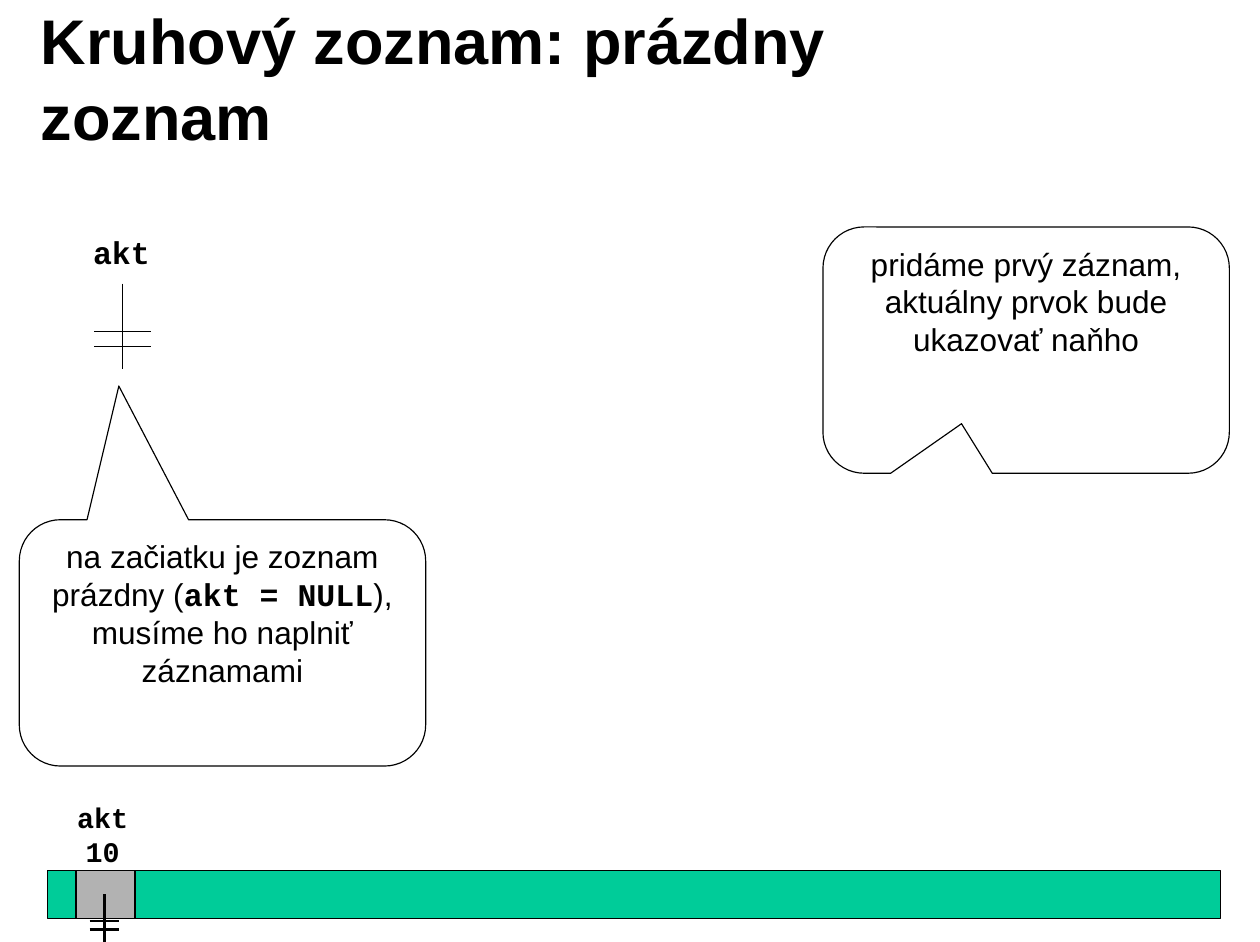
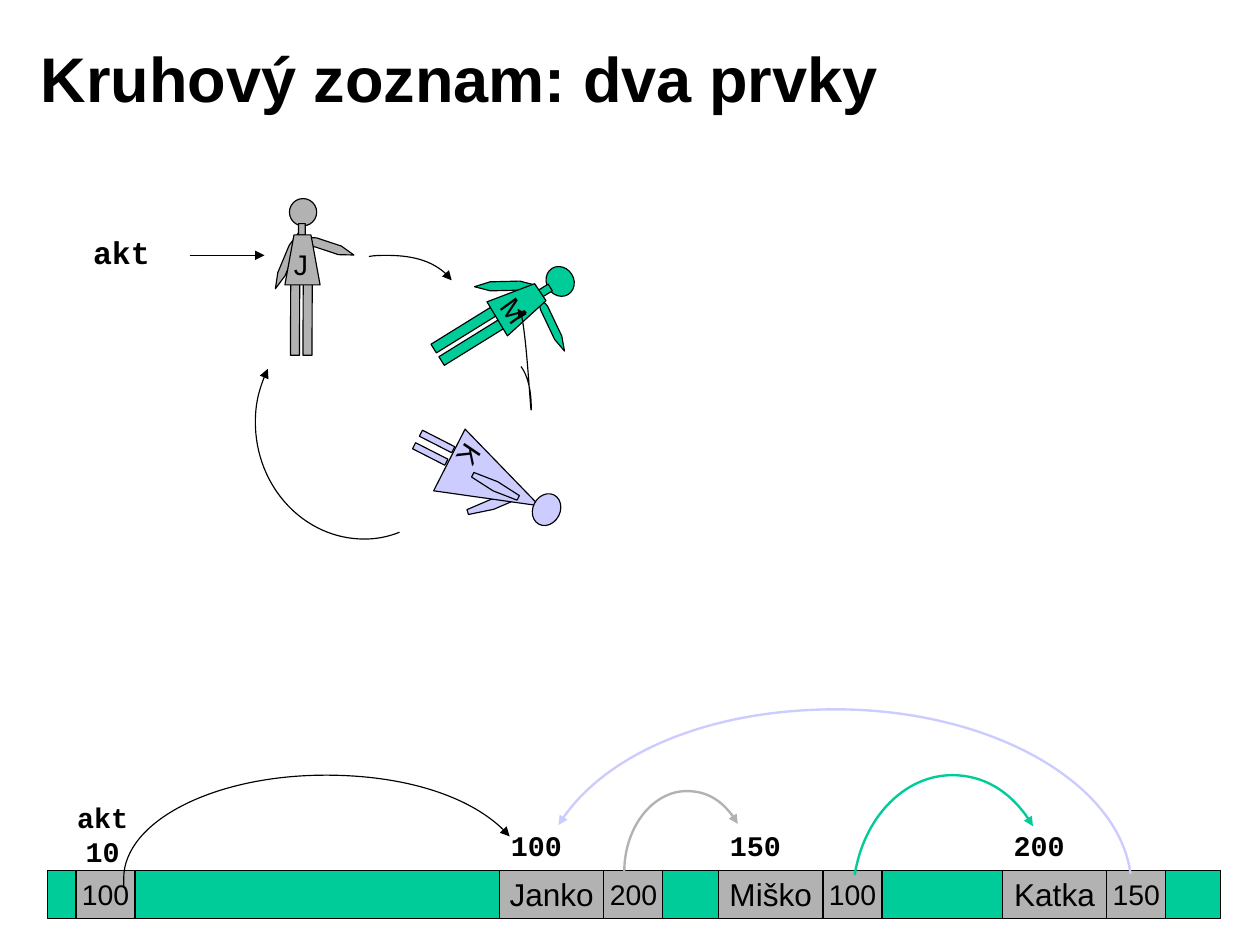
"""Build two slides about a circular linked list: the empty list and the list with elements."""
from lxml import etree
from pptx import Presentation
from pptx import util as u
from pptx.dml.color import RGBColor
from pptx.enum import shapes as kinds, text
from pptx.oxml.ns import qn

COLOURS = {"white": "FFFFFF", "black": "000000", "green": "00CC99", "grey": "B2B2B2", "lilac": "CCCCFF"}
SANS, MONO = "Arial", "Courier New"
FORMS = kinds.MSO_SHAPE
TITLES = ["Kruhový zoznam: prázdny zoznam", "Kruhový zoznam: dva prvky"]

CALLOUTS = [
    ((0.17, 4.58), (-0.255, -1.043, 0.167),
     [("na začiatku je zoznam prázdny (", False), ("akt = NULL", True), ("), musíme ho naplniť záznamami", False)]),
    ((7.25, 2), (-0.159, 0.299, 0.167),
     [("pridáme prvý záznam, aktuálny prvok bude ukazovať naňho", False)]),
]
NULL_SIGNS = [(1.08, 2.5, 0.75, 0.25, 0.75), (0.92, 7.88, 0.42, 0.13, 1.5)]

MEMORY_TOP, MEMORY_HEIGHT = 7.67, 0.42
NAME_WIDTH, POINTER_WIDTH = 0.92, 0.52
RECORDS = [(4.4, "100", "Janko", "200"), (6.33, "150", "Miško", "100"), (8.83, "200", "Katka", "150")]

FIGURES = [
    {"colour": "lilac", "parts": [
        ("HEXAGON", (4.29, 4.22, 0.09, 0.45), 72.6, 0.25),
        ("ISOSCELES_TRIANGLE", (4.05, 3.81, 0.61, 0.89), 117, 0.5),
        ("HEXAGON", (4.32, 4.06, 0.09, 0.45), 117, 0.25),
        ("OVAL", (4.67, 4.37, 0.29, 0.24), 117, None),
        ("RECTANGLE", (3.82, 3.73, 0.06, 0.32), 117, None),
        ("RECTANGLE", (3.76, 3.84, 0.06, 0.32), 117, None)],
     "body": []},
    {"colour": "green", "parts": [
        ("HEXAGON", (4.18, 2.48, 0.54, 0.08), 358.6, 1.739),
        ("HEXAGON", (4.58, 2.81, 0.55, 0.07), 64.6, 1.853),
        ("OVAL", (4.8, 2.36, 0.27, 0.24), 58.2, None),
        ("RECTANGLE", (4.06, 2.56, 0.09, 0.67), 58.2, None),
        ("RECTANGLE", (4.13, 2.67, 0.09, 0.67), 58.2, None),
        ("RECTANGLE", (4.77, 2.51, 0.07, 0.1), 58.2, None)],
     "body": [(4.29, 2.66), (4.71, 2.5), (4.81, 2.65), (4.47, 2.96)]},
    {"colour": "grey", "parts": [
        ("HEXAGON", (2.26, 2.26, 0.54, 0.07), 292.6, 1.991),
        ("HEXAGON", (2.64, 2.13, 0.49, 0.08), 18.3, 1.616),
        ("OVAL", (2.55, 1.75, 0.24, 0.24), 0.2, None),
        ("RECTANGLE", (2.56, 2.46, 0.08, 0.67), 0.2, None),
        ("RECTANGLE", (2.67, 2.46, 0.08, 0.67), 0.2, None),
        ("RECTANGLE", (2.63, 1.97, 0.06, 0.1), 0.2, None)],
     "body": [(2.51, 2.51), (2.59, 2.07), (2.74, 2.07), (2.82, 2.51)]},
]
INITIALS = [("J", (2.49, 2.13, 0.32, 0.4), 0), ("K", (3.96, 3.81, 0.36, 0.4), 124), ("M", (4.33, 2.54, 0.41, 0.4), 54.2)]

ARCS = [
    ("black", 0.75, [(1.09, 7.82), (1.09, 7.8), (1.09, 7.77), (1.09, 7.74), (1.09, 7.24), (1.88, 6.83), (2.87, 6.83),
                     (3.57, 6.83), (4.21, 7.04), (4.49, 7.37)]),
    ("grey", 1.5, [(5.51, 7.75), (5.5, 7.73), (5.5, 7.7), (5.5, 7.68), (5.5, 7.29), (5.75, 6.97), (6.05, 6.97),
                   (6.23, 6.97), (6.4, 7.08), (6.5, 7.26)]),
    ("black", 0.75, [(3.52, 4.69), (3.42, 4.73), (3.32, 4.75), (3.21, 4.75), (2.68, 4.75), (2.25, 4.29), (2.25, 3.72),
                     (2.25, 3.56), (2.29, 3.4), (2.36, 3.25)]),
    ("lilac", 1.5, [(9.96, 7.7), (9.85, 6.88), (8.71, 6.25), (7.36, 6.25), (6.27, 6.25), (5.3, 6.65), (4.92, 7.27)]),
    ("black", 0.75, [(3.25, 2.26), (3.3, 2.25), (3.36, 2.25), (3.41, 2.25), (3.67, 2.25), (3.89, 2.34), (3.98, 2.47)]),
    ("black", 0.75, [(4.59, 3.23), (4.65, 3.31), (4.68, 3.44), (4.68, 3.59), (4.68, 3.76), (4.63, 2.66), (4.56, 2.72)]),
    ("green", 1.5, [(7.53, 7.71), (7.61, 7.2), (7.97, 6.83), (8.39, 6.83), (8.67, 6.83), (8.94, 7), (9.1, 7.28)]),
]


def rgb(name):
    """Return the named colour."""
    return RGBColor.from_string(COLOURS[name])


def style_run(run, size, font=SANS, bold=False):
    """Format one run in black."""
    run.font.size, run.font.name, run.font.bold = u.Pt(size), font, bold
    run.font.color.rgb = rgb("black")


def write(shape, words, size, font=SANS, bold=False):
    """Put centred, unwrapped text into a shape."""
    frame = shape.text_frame
    frame.text, frame.word_wrap = words, False
    for paragraph in frame.paragraphs:
        paragraph.alignment = text.PP_ALIGN.CENTER
        for run in paragraph.runs:
            style_run(run, size, font, bold)


def draw_line(shape, colour="black", width=0.75):
    """Set the line of a shape or connector."""
    shape.line.color.rgb = rgb(colour)
    shape.line.width = u.Pt(width)


def add_arrowhead(shape):
    """End the line of a shape with a triangle."""
    line = shape._element.xpath("./p:spPr/a:ln")[0]
    etree.SubElement(line, qn("a:tailEnd"), type="triangle")


def add_form(shapes, form, box, colour):
    """Add a filled, outlined preset shape."""
    shape = shapes.add_shape(form, *map(u.Inches, box))
    shape.shadow.inherit = False
    shape.fill.solid()
    shape.fill.fore_color.rgb = rgb(colour)
    draw_line(shape)
    return shape


def add_label(shapes, words, box, size, font=MONO, bold=True):
    """Add a short text box."""
    label = shapes.add_textbox(*map(u.Inches, box))
    write(label, words, size, font, bold)
    label.text_frame.auto_size = text.MSO_AUTO_SIZE.SHAPE_TO_FIT_TEXT
    return label


def add_line(shapes, start, end, width=0.75):
    """Add a straight black line."""
    line = shapes.add_connector(kinds.MSO_CONNECTOR.STRAIGHT, *map(u.Inches, (*start, *end)))
    draw_line(line, width=width)
    etree.SubElement(line._element.spPr, qn("a:effectLst"))
    return line


def add_outline(shapes, points, closed):
    """Add a freeform through the points."""
    first, *rest = [tuple(map(u.Inches, point)) for point in points]
    builder = shapes.build_freeform(*first)
    builder.add_line_segments(rest, close=closed)
    shape = builder.convert_to_shape()
    shape.shadow.inherit = False
    return shape


def add_arc(shapes, colour, width, points):
    """Add a curved arrow whose points are Bézier control points."""
    arc = add_outline(shapes, points, False)
    arc.fill.background()
    draw_line(arc, colour, width)
    add_arrowhead(arc)
    outline = arc._element.xpath(".//a:path")[0]
    steps = outline.findall(qn("a:lnTo"))
    for first in range(0, len(steps), 3):
        curve = etree.SubElement(outline, qn("a:cubicBezTo"))
        for step in steps[first:first + 3]:
            curve.append(step[0])
            outline.remove(step)


def add_figure(slide, figure):
    """Add a grouped person made of simple shapes."""
    shapes = slide.shapes.add_group_shape().shapes
    for form, box, rotation, adjustment in figure["parts"]:
        part = add_form(shapes, FORMS[form], box, figure["colour"])
        part.rotation = rotation
        if adjustment is not None:
            part.adjustments[0] = adjustment
    if figure["body"]:
        body = add_outline(shapes, figure["body"], True)
        body.fill.solid()
        body.fill.fore_color.rgb = rgb(figure["colour"])
        draw_line(body)


def add_cell(shapes, left, width, words="", size=18):
    """Add one grey memory cell."""
    cell = add_form(shapes, FORMS.RECTANGLE, (left, MEMORY_TOP, width, MEMORY_HEIGHT), "grey")
    if words:
        write(cell, words, size)


def add_record(slide, left, address, name, pointer):
    """Add a record: name, pointer and address above."""
    shapes = slide.shapes.add_group_shape().shapes
    add_cell(shapes, left, NAME_WIDTH, name, 20)
    add_cell(shapes, left + NAME_WIDTH, POINTER_WIDTH, pointer)
    add_label(shapes, address, (left, 7.25, 0.65, 0.4), 18)


def add_null_sign(slide, centre, top, height, half, width):
    """Add a vertical line crossed by two bars."""
    shapes = slide.shapes.add_group_shape().shapes
    add_line(shapes, (centre, top), (centre, top + height), width)
    for share in (0.56, 0.74):
        level = top + share * height
        add_line(shapes, (centre - half, level), (centre + half, level), width)


def add_callout(slide, corner, adjustments, runs):
    """Add a speech bubble with mixed runs."""
    bubble = add_form(slide.shapes, FORMS.ROUNDED_RECTANGULAR_CALLOUT, (*corner, 3.58, 2.17), "white")
    for index, value in enumerate(adjustments):
        bubble.adjustments[index] = value
    frame = bubble.text_frame
    frame.word_wrap, frame.vertical_anchor = True, text.MSO_ANCHOR.TOP
    paragraph = frame.paragraphs[0]
    paragraph.alignment = text.PP_ALIGN.CENTER
    for words, is_code in runs:
        run = paragraph.add_run()
        run.text = words
        style_run(run, 20, MONO if is_code else SANS, is_code)


def start_slide(presentation, words, pointer):
    """Add a slide with its title, akt label and memory bar."""
    slide = presentation.slides.add_slide(presentation.slide_layouts[5])
    title = slide.shapes.title
    title.left, title.top, title.width, title.height = map(u.Inches, (0.25, 0.17, 8.92, 1.02))
    frame = title.text_frame
    frame.text, frame.word_wrap = words, True
    frame.auto_size, frame.vertical_anchor = text.MSO_AUTO_SIZE.NONE, text.MSO_ANCHOR.MIDDLE
    frame.margin_left = frame.margin_right = u.Inches(0.11)
    frame.margin_top = frame.margin_bottom = u.Inches(0.06)
    frame.paragraphs[0].alignment = text.PP_ALIGN.LEFT
    style_run(frame.paragraphs[0].runs[0], 40, bold=True)
    add_label(slide.shapes, "akt", (0.72, 2, 0.7, 0.44), 20)
    add_form(slide.shapes, FORMS.RECTANGLE, (0.42, MEMORY_TOP, 10.33, MEMORY_HEIGHT), "green")
    add_cell(slide.shapes, 0.67, POINTER_WIDTH, pointer)
    add_label(slide.shapes, "akt\n10", (0.58, 7, 0.65, 0.7), 18)
    return slide


def main():
    """Build and save the presentation."""
    presentation = Presentation()
    presentation.slide_width, presentation.slide_height = u.Inches(11.1), u.Inches(8.3)

    empty_list = start_slide(presentation, TITLES[0], "")
    for callout in CALLOUTS:
        add_callout(empty_list, *callout)
    for sign in NULL_SIGNS:
        add_null_sign(empty_list, *sign)

    full_list = start_slide(presentation, TITLES[1], "100")
    for figure in FIGURES:
        add_figure(full_list, figure)
    add_arrowhead(add_line(full_list.shapes, (1.67, 2.25), (2.33, 2.25)))
    for record in RECORDS:
        add_record(full_list, *record)
    for arc in ARCS:
        add_arc(full_list.shapes, *arc)
    for letter, box, rotation in INITIALS:
        add_label(full_list.shapes, letter, box, 18, SANS, False).rotation = rotation

    presentation.save("out.pptx")


if __name__ == "__main__":
    main()
